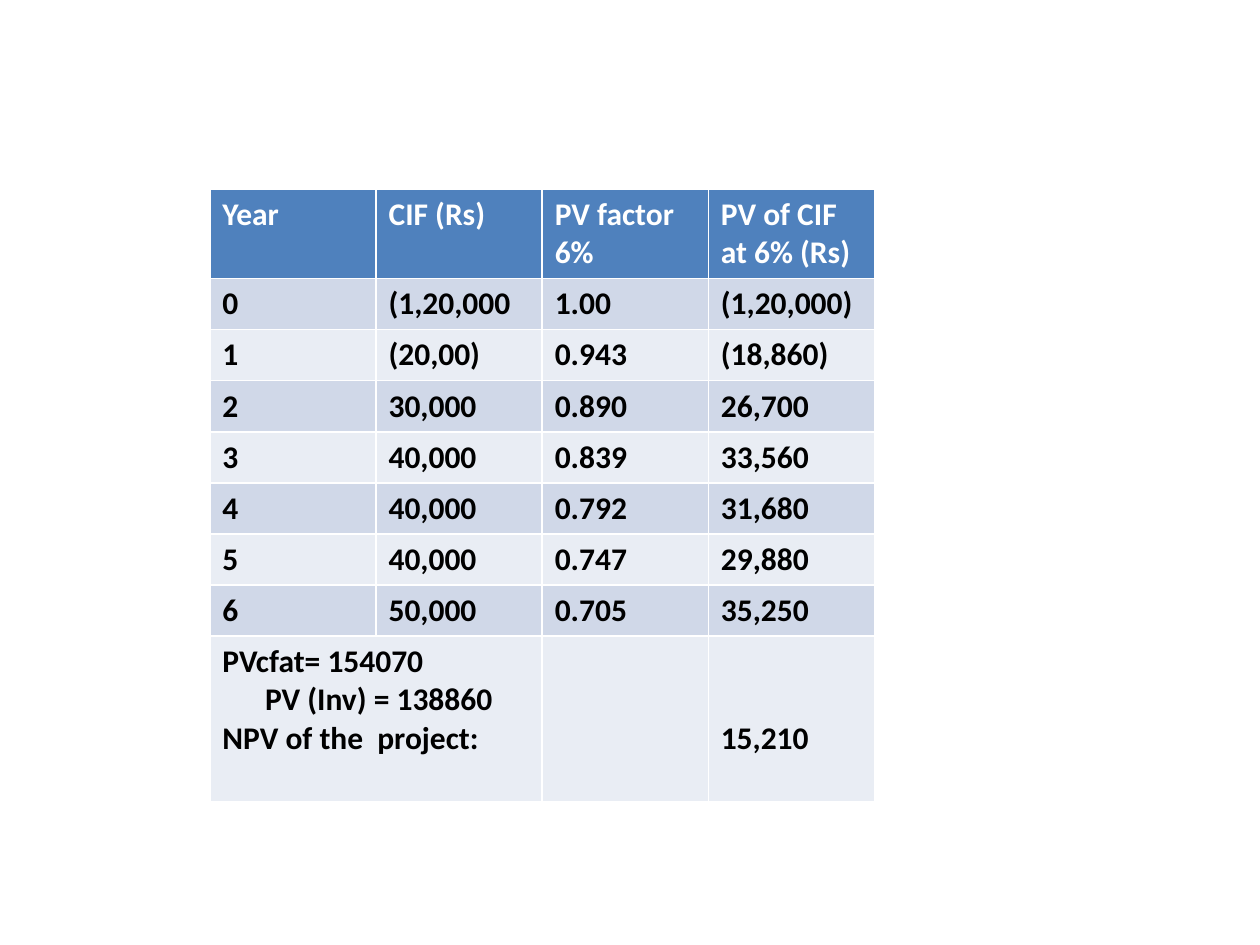
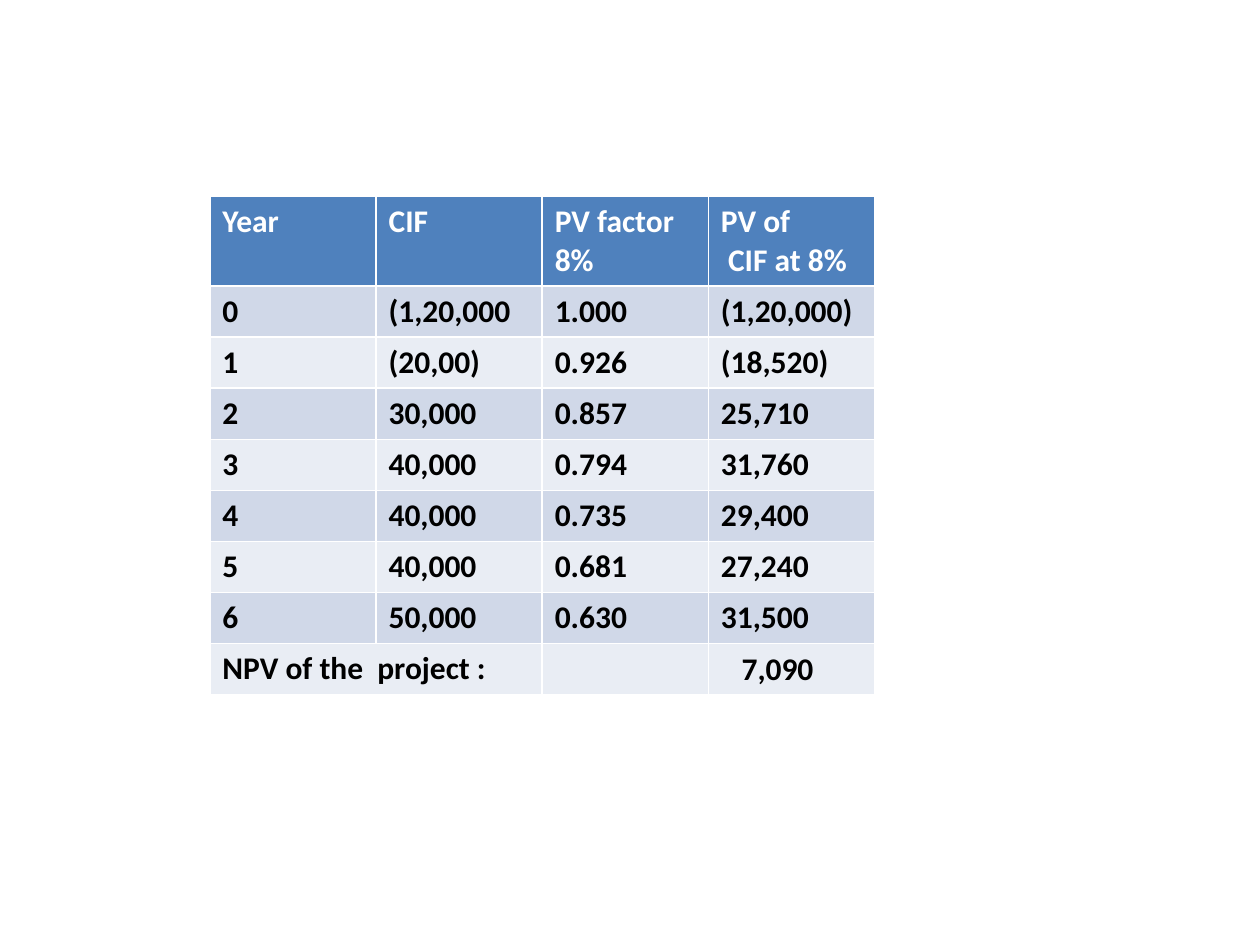
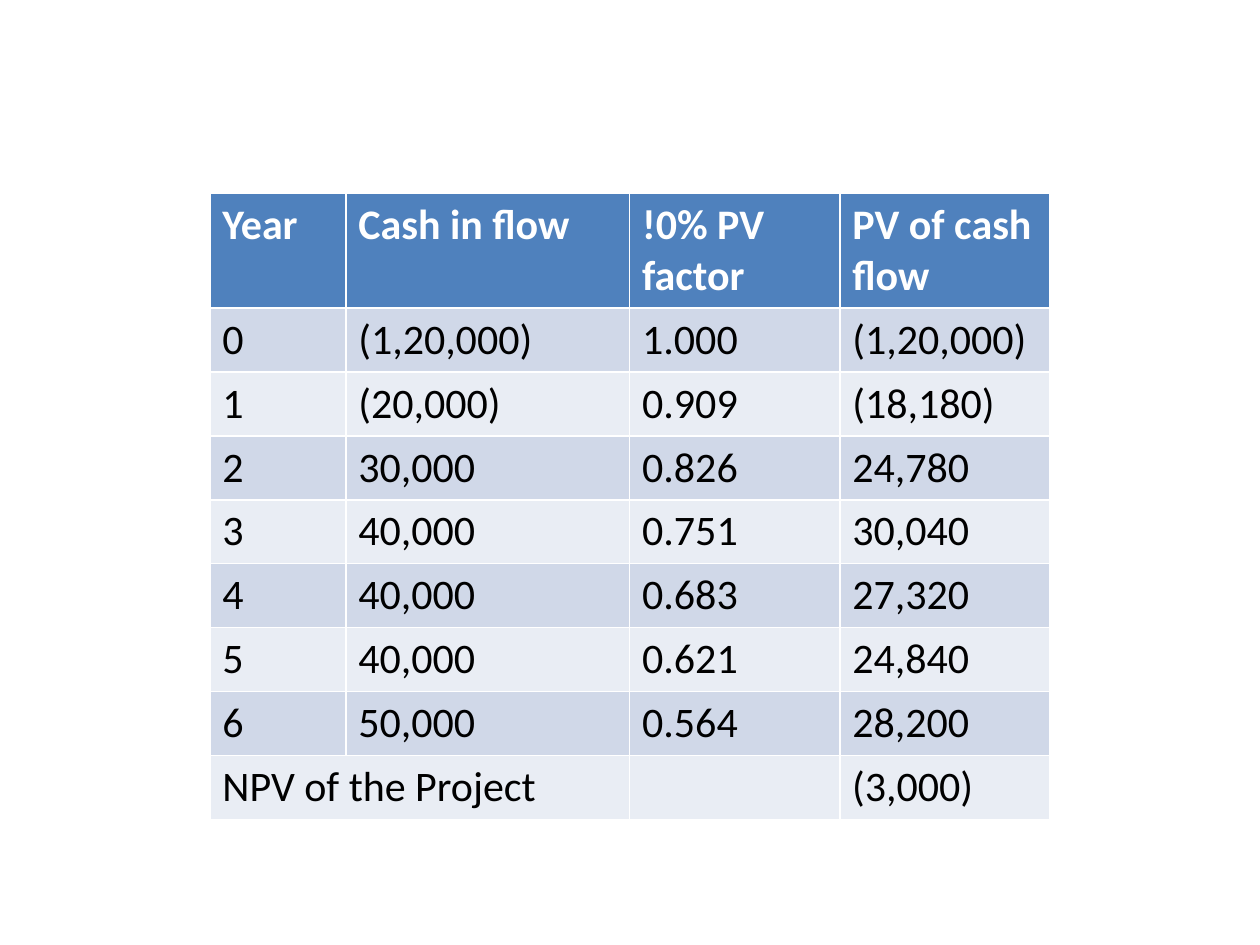
"""Build three slides of net present value tables at 6, 8 and 10 percent."""
from pptx import Presentation
from pptx.dml.color import RGBColor as Rgb
from pptx.util import Cm, Pt

FONT = "Calibri"
HEAD, ODD, EVEN = "4F81BD", "D0D8E8", "E9EDF4"
WHITE, BLACK = "FFFFFF", "000000"
LEFT = 4.23

FLOWS = ["30,000", "40,000", "40,000", "40,000", "50,000"]
SLIDES = [
    {
        "top": 3.81, "size": 18, "bold": True,
        "cols": [3.35] * 4, "rows": [1.75] + [1.03] * 7 + [3.33],
        "head": ["Year", "CIF (Rs)", "PV factor 6%", "PV of CIF at 6% (Rs)"],
        "flows": ["(1,20,000", "(20,00)"] + FLOWS,
        "rates": ["1.00", "0.943", "0.890", "0.839", "0.792", "0.747", "0.705"],
        "values": ["(1,20,000)", "(18,860)", "26,700", "33,560", "31,680",
                   "29,880", "35,250"],
        "label": "PVcfat= 154070\vPV (Inv) = 138860\nNPV of the  project:",
        "total": "15,210", "hang": 0.86, "drop": 1.55, "inset": 0,
    },
    {
        "top": 3.96, "size": 18, "bold": True,
        "cols": [3.35] * 4, "rows": [1.75] + [1.03] * 8,
        "head": ["Year", "CIF", "PV factor\n8%", "PV of\n CIF at 8%"],
        "flows": ["(1,20,000", "(20,00)"] + FLOWS,
        "rates": ["1.000", "0.926", "0.857", "0.794", "0.735", "0.681", "0.630"],
        "values": ["(1,20,000)", "(18,520)", "25,710", "31,760", "29,400",
                   "27,240", "31,500"],
        "label": "NPV of the  project :",
        "total": "7,090", "hang": 0, "drop": 0, "inset": 0.42,
    },
    {
        "top": 3.89, "size": 24, "bold": False,
        "cols": [2.74, 5.72, 4.24, 4.24], "rows": [2.28] + [1.27] * 8,
        "head": ["Year", "Cash in flow", "!0% PV factor", "PV of cash\nflow"],
        "flows": ["(1,20,000)", "(20,000)"] + FLOWS,
        "rates": ["1.000", "0.909", "0.826", "0.751", "0.683", "0.621", "0.564"],
        "values": ["(1,20,000)", "(18,180)", "24,780", "30,040", "27,320",
                   "24,840", "28,200"],
        "label": "NPV of the Project",
        "total": "(3,000)", "hang": 0, "drop": 0, "inset": 0,
    },
]


def color(code):
    return Rgb.from_string(code)


def write(cell, text, fill, ink, size, bold):
    cell.fill.solid()
    cell.fill.fore_color.rgb = color(fill)
    cell.text = text
    style = {"name": FONT, "size": Pt(size), "bold": bold}
    for para in cell.text_frame.paragraphs:
        for font in [para.font] + [run.font for run in para.runs]:
            for key, value in style.items():
                setattr(font, key, value)
            font.color.rgb = color(ink)


def build(slide, data):
    years = [str(year) for year in range(len(data["flows"]))]
    body = zip(years, data["flows"], data["rates"], data["values"])
    lines = [data["head"], *body, [data["label"], "", "", data["total"]]]
    cols, rows = data["cols"], data["rows"]
    frame = slide.shapes.add_table(len(rows), len(cols), Cm(LEFT),
                                   Cm(data["top"]), Cm(sum(cols)), Cm(sum(rows)))
    table = frame.table
    for col, width in zip(table.columns, cols):
        col.width = Cm(width)
    for row, height in zip(table.rows, rows):
        row.height = Cm(height)
    for r, line in enumerate(lines):
        fill = (ODD if r % 2 else EVEN) if r else HEAD
        ink = BLACK if r else WHITE
        for c, text in enumerate(line):
            write(table.cell(r, c), text, fill, ink, data["size"],
                  data["bold"] or r == 0)
    last = len(rows) - 1
    label, total = table.cell(last, 0), table.cell(last, 3)
    label.merge(table.cell(last, 1))
    if data["hang"]:
        props = label.text_frame.paragraphs[0]._p.get_or_add_pPr()
        props.set("marL", str(Cm(data["hang"])))
        props.set("indent", str(-Cm(data["hang"])))
    total.margin_top = Cm(0.13 + data["drop"])
    total.margin_left = Cm(0.25 + data["inset"])


deck = Presentation()
deck.slide_width, deck.slide_height = Cm(25.4), Cm(19.05)
for data in SLIDES:
    build(deck.slides.add_slide(deck.slide_layouts[6]), data)
deck.save("out.pptx")
